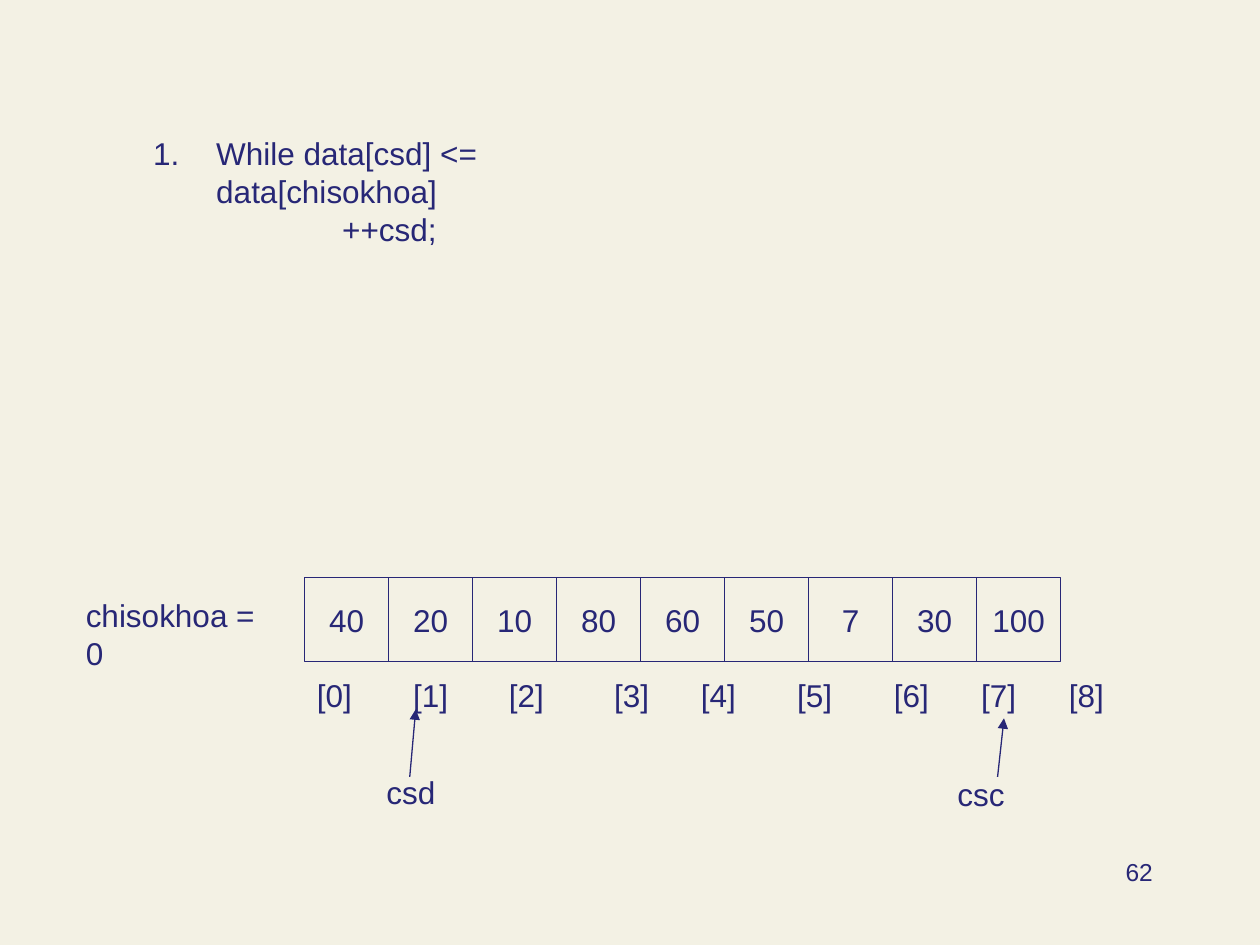
from lxml import etree
from pptx import Presentation
from pptx.dml.color import RGBColor
from pptx.enum.shapes import MSO_CONNECTOR, MSO_SHAPE
from pptx.enum.text import MSO_ANCHOR, PP_ALIGN
from pptx.oxml.ns import qn
from pptx.util import Cm, Pt

STRAIGHT = MSO_CONNECTOR.STRAIGHT
RECTANGLE = MSO_SHAPE.RECTANGLE
MIDDLE = MSO_ANCHOR.MIDDLE
LEFT, CENTER, RIGHT = PP_ALIGN.LEFT, PP_ALIGN.CENTER, PP_ALIGN.RIGHT

COLORS = {"background": "F3F1E4", "ink": "272776"}
FONT = "Arial"
VALUES = [40, 20, 10, 80, 60, 50, 7, 30, 100]
INDEX_OFFSETS = [0, 1.94, 3.87, 5.99, 7.74, 9.68, 11.63, 13.39, 15.16]
ARRAY_LEFT, ARRAY_TOP, ARRAY_WIDTH = 6.14, 11.64, 15.24
CELL = ARRAY_WIDTH / len(VALUES)


def color(name):
    """Return the named colour as an RGBColor."""
    return RGBColor.from_string(COLORS[name])


def write(frame, text, size=18, align=LEFT, number_indent=0, body_indent=0):
    """Fill a text frame, numbering the first line when it has a number indent."""
    for position, line in enumerate(text.split("\n")):
        paragraph = frame.paragraphs[0] if position == 0 else frame.add_paragraph()
        paragraph.add_run().text = line
        paragraph.alignment = align
        properties = paragraph._p.get_or_add_pPr()
        if number_indent and position == 0:
            properties.set("marL", str(Cm(number_indent)))
            properties.set("indent", str(-Cm(number_indent)))
            etree.SubElement(properties, qn("a:buAutoNum"), type="arabicPeriod")
        elif body_indent:
            properties.set("marL", str(Cm(body_indent)))
            properties.set("indent", "0")
        paragraph.font.size = Pt(size)
        paragraph.font.name = FONT
        paragraph.font.color.rgb = color("ink")


def add_label(slide, text, left, top, width, height=1.02, **text_format):
    """Add a wrapping text box."""
    frame = slide.shapes.add_textbox(Cm(left), Cm(top), Cm(width), Cm(height)).text_frame
    frame.word_wrap = True
    write(frame, text, **text_format)


def add_cell(slide, value, left):
    """Add one outlined array cell with its value."""
    cell = slide.shapes.add_shape(RECTANGLE, Cm(left), Cm(ARRAY_TOP), Cm(CELL), Cm(CELL))
    cell.shadow.inherit = False
    cell.fill.background()
    cell.line.color.rgb = color("ink")
    cell.line.width = Pt(0.75)
    cell.text_frame.word_wrap = False
    cell.text_frame.vertical_anchor = MIDDLE
    write(cell.text_frame, str(value), align=CENTER)


def add_pointer(slide, start, end):
    """Add a straight arrow from start to end."""
    pointer = slide.shapes.add_connector(STRAIGHT, *map(Cm, start + end))
    pointer.line.color.rgb = color("ink")
    pointer.line.width = Pt(0.75)
    etree.SubElement(pointer.line._get_or_add_ln(), qn("a:tailEnd"), type="triangle")
    etree.SubElement(pointer._element.spPr, qn("a:effectLst"))


def main():
    """Build the partition step slide and save it."""
    deck = Presentation()
    deck.slide_width, deck.slide_height = Cm(25.4), Cm(19.05)
    slide = deck.slides.add_slide(deck.slide_layouts[6])
    slide.background.fill.solid()
    slide.background.fill.fore_color.rgb = color("background")

    for index, (value, offset) in enumerate(zip(VALUES, INDEX_OFFSETS)):
        add_cell(slide, value, ARRAY_LEFT + index * CELL)
        add_label(slide, f"[{index}]", ARRAY_LEFT + offset, 13.5, 1.5)

    add_label(slide, "chisokhoa = 0", 1.48, 11.89, 4.06)
    add_label(slide, "csd", ARRAY_LEFT, 15.45, 8.05, body_indent=1.4)
    add_label(slide, "csc", 19.05, 15.49, 5.08)
    add_pointer(slide, (8.26, 15.66), (8.38, 14.3))
    add_pointer(slide, (20.11, 15.66), (20.24, 14.48))

    add_label(slide, "While data[csd] <= data[chisokhoa]\n++csd;", 2.84, 2.58, 10.97, 2.57,
              number_indent=1.27, body_indent=3.81)
    add_label(slide, "62", 18.21, 17.15, 5.28, 1.27, size=14, align=RIGHT)
    deck.save("out.pptx")


if __name__ == "__main__":
    main()
